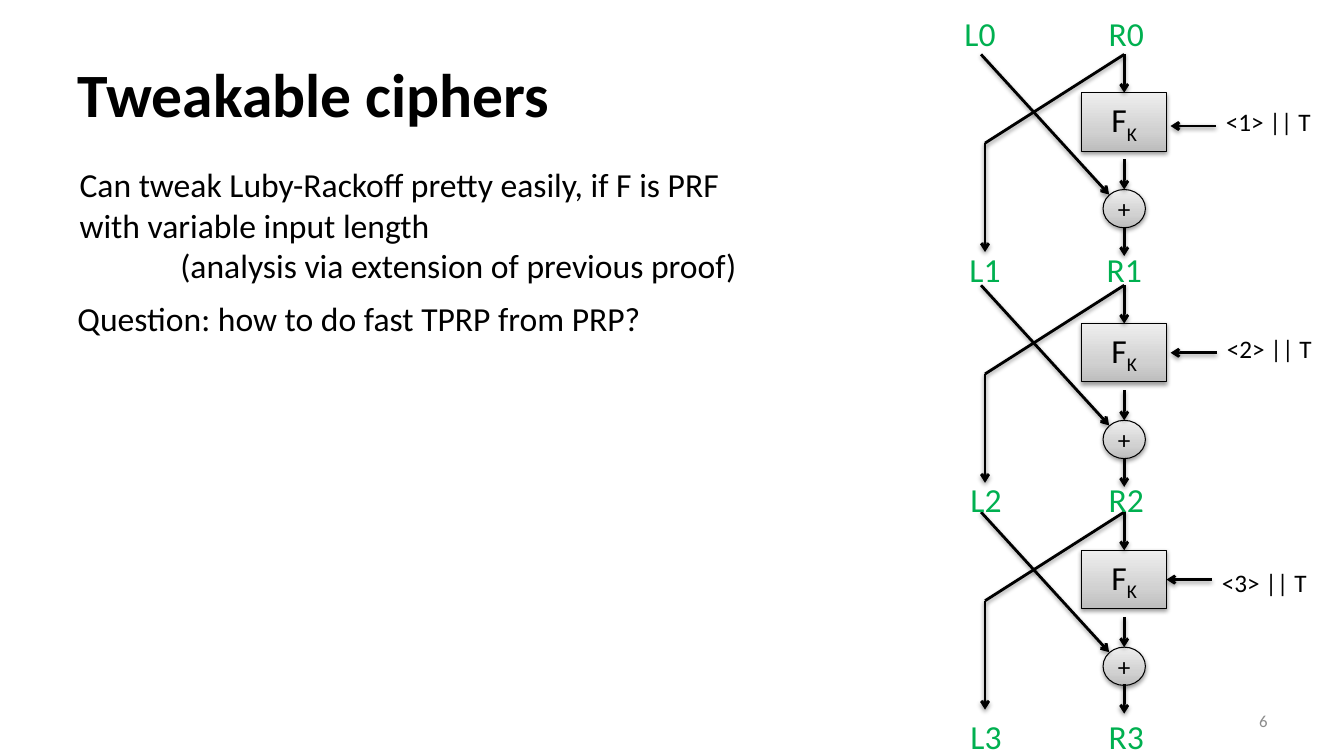
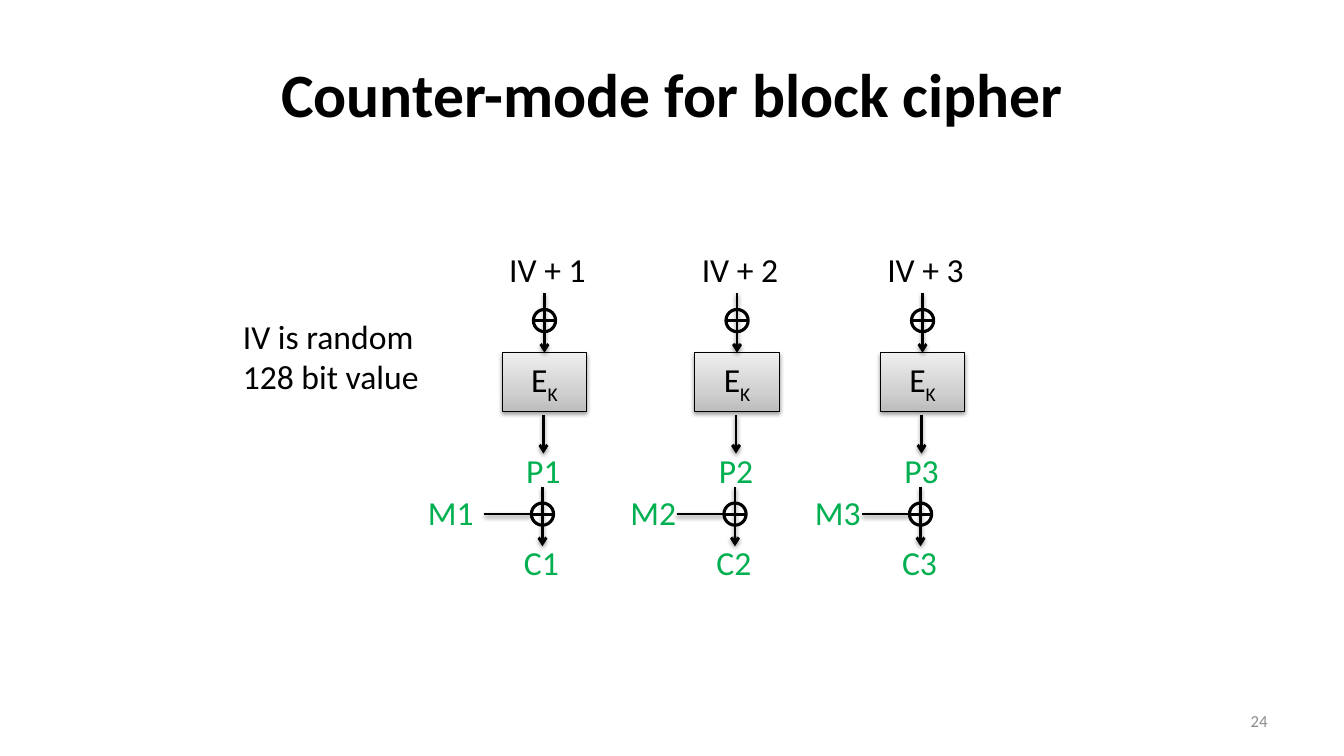
from dataclasses import dataclass
from typing import Any, Optional

import lxml.etree
import pptx
import pptx.dml.color
import pptx.enum.shapes
import pptx.enum.text
import pptx.oxml.ns
import pptx.util

SCALE = 9144
FONT = "Calibri"
COLORS = {
    "ink": "000000",
    "green": "00B050",
    "gray": "8C8C8C",
    "dark": "BDBDBD",
    "mid": "D1D1D1",
    "light": "EEEEEE",
}
ALIGN = pptx.enum.text.PP_ALIGN
ANCHOR = pptx.enum.text.MSO_ANCHOR
SHAPE = pptx.enum.shapes.MSO_SHAPE
Point = tuple[int, int]


@dataclass(frozen=True)
class Round:
    num: int
    top: int
    tweak: Point
    label: int


@dataclass(frozen=True)
class Label:
    left: int
    right: int
    top: int


@dataclass(frozen=True)
class Column:
    num: int
    mid: int
    text: int


ROUNDS = [
    Round(1, 54, (1206, 125), 101),
    Round(2, 283, (1207, 350), 326),
    Round(3, 508, (1202, 575), 558),
]
LABELS = [
    Label(972, 1117, 8),
    Label(977, 1115, 242),
    Label(978, 1117, 470),
    Label(978, 1117, 705),
]
COLUMNS = [Column(1, 540, 447), Column(2, 731, 648), Column(3, 915, 831)]


def px(size: int) -> pptx.util.Emu:
    return pptx.util.Emu(size * SCALE)


def rgb(name: str) -> Any:
    return pptx.dml.color.RGBColor.from_string(COLORS[name])


def node(root: Any, tag: str, **attrs: Any) -> Any:
    item = lxml.etree.SubElement(root, pptx.oxml.ns.qn("a:" + tag))
    for key, value in attrs.items():
        item.set(key, str(value))
    return item


def shade(root: Any, on: bool = True) -> None:
    effect = node(root, "effectLst")
    if on:
        cast = node(effect, "outerShdw", blurRad=40000, dist=20000,
                    dir=5400000, rotWithShape=0)
        node(node(cast, "srgbClr", val=COLORS["ink"]), "alpha", val=38000)


def write(frame: Any, *lines: str, size: int = 24, color: str = "ink",
          bold: bool = False, align: Any = ALIGN.LEFT, anchor: Any = ANCHOR.TOP,
          wrap: bool = False, sub: str = "", indent: int = 0) -> None:
    frame.word_wrap = wrap
    frame.vertical_anchor = anchor
    for rank, line in enumerate(lines):
        para = frame.add_paragraph() if rank else frame.paragraphs[0]
        para.alignment = align
        if rank and indent:
            props = para._p.get_or_add_pPr()
            props.set("marL", str(px(indent)))
            props.set("indent", "0")
        for part in filter(None, (line, sub)):
            run = para.add_run()
            run.text = part
            run.font.name = FONT
            run.font.size = pptx.util.Pt(size)
            run.font.bold = bold
            run.font.color.rgb = rgb(color)
        if sub:
            run._r.get_or_add_rPr().set("baseline", "-25000")


def note(slide: Any, left: int, top: int, width: int, high: int,
         *lines: str, **style: Any) -> None:
    box = slide.shapes.add_textbox(px(left), px(top), px(width), px(high))
    write(box.text_frame, *lines, **style)


def tag(slide: Any, mid: int, top: int, text: str, color: str = "green") -> None:
    note(slide, mid - 50, top, 100, 50, text, color=color, align=ALIGN.CENTER)


def block(slide: Any, kind: Any, left: int, top: int, width: int, high: int,
          text: str, **style: Any) -> Any:
    shape = slide.shapes.add_shape(kind, px(left), px(top), px(width), px(high))
    props = shape._element.spPr
    fill = node(props, "gradFill", rotWithShape=1)
    stops = node(fill, "gsLst")
    for place, name in ((0, "dark"), (35, "mid"), (100, "light")):
        stop = node(stops, "gs", pos=place * 1000)
        node(stop, "srgbClr", val=COLORS[name])
    node(fill, "lin", ang=16200000, scaled=0)
    shape.line.color.rgb = rgb("ink")
    shape.line.width = pptx.util.Pt(0.75)
    shade(props)
    write(shape.text_frame, text, align=ALIGN.CENTER, anchor=ANCHOR.MIDDLE, **style)
    return shape


def keyed(slide: Any, mid: int, top: int, text: str) -> Any:
    return block(slide, SHAPE.RECTANGLE, mid - 42, top, 84, 58, text, sub="K")


def link(slide: Any, start: Point, end: Point, head: bool = True,
         width: float = 2, glow: bool = True,
         goal: Optional[Any] = None, side: int = 0) -> None:
    line = slide.shapes.add_connector(
        pptx.enum.shapes.MSO_CONNECTOR.STRAIGHT, *map(px, start + end))
    line.line.color.rgb = rgb("ink")
    line.line.width = pptx.util.Pt(width)
    if head:
        node(line.line._get_or_add_ln(), "tailEnd", type="arrow")
    shade(line._element.spPr, glow)
    if goal is not None:
        line.end_connect(goal, side)


def ring(slide: Any, mid: int, top: int) -> None:
    oval = slide.shapes.add_shape(
        SHAPE.OVAL, px(mid - 11), px(top), px(22), px(22))
    oval.shadow.inherit = False
    oval.fill.background()
    oval.line.color.rgb = rgb("ink")
    oval.line.width = pptx.util.Pt(2.25)
    link(slide, (mid - 11, top + 11), (mid + 11, top + 11),
         head=False, width=2.25, glow=False)


def start(deck: Any, title: str, page: int, align: Any) -> Any:
    slide = deck.slides.add_slide(deck.slide_layouts[5])
    head = slide.shapes.title
    head.left, head.top, head.width, head.height = map(px, (67, 30, 1200, 125))
    write(head.text_frame, title, size=44, bold=True, align=align,
          anchor=ANCHOR.MIDDLE, wrap=True)
    note(slide, 956, 695, 311, 40, str(page), size=12, color="gray",
         align=ALIGN.RIGHT, anchor=ANCHOR.MIDDLE, wrap=True)
    return slide


def feistel(slide: Any, step: Round) -> None:
    top, left, right = step.top, 977, 1115
    box = keyed(slide, right, top + 38, "F")
    plus = block(slide, SHAPE.OVAL, right - 21, top + 134, 42, 38, "+", size=18)
    link(slide, (right, top), (right, top + 38), goal=box)
    link(slide, (973, top), (1100, top + 139))
    link(slide, (right, top), (left, top + 88), head=False)
    link(slide, (left, top + 88), (left, top + 196))
    link(slide, (right, top + 104), (right, top + 134), goal=plus)
    link(slide, (right, top + 171), (right, top + 200))
    x, y = step.tweak
    if y == top + 67 and step.num == len(ROUNDS):
        link(slide, step.tweak, (x - 46, y), goal=box, side=3)
    else:
        link(slide, step.tweak, (1161, y))
    note(slide, x, step.label, 105, 40, f"<{step.num}> || T", size=18)


def counter(slide: Any, col: Column) -> None:
    mid, out = col.mid, col.mid - 2
    box = keyed(slide, mid, 350, "E")
    tag(slide, mid + 3, 242, f"IV + {col.num}", "ink")
    link(slide, (mid, 291), (mid, 350), goal=box)
    ring(slide, mid, 307)
    link(slide, (mid - 1, 412), (mid - 1, 450))
    tag(slide, mid - 1, 441, f"P{col.num}")
    tag(slide, col.text, 483, f"M{col.num}")
    link(slide, (out, 483), (out, 542))
    ring(slide, out, 499)
    link(slide, (out - 58, 510), (out - 11, 510), head=False)
    tag(slide, out - 1, 533, f"C{col.num}")


def main() -> None:
    deck = pptx.Presentation()
    deck.slide_width, deck.slide_height = px(1333), px(750)

    tweak = start(deck, "Tweakable ciphers", 6, ALIGN.LEFT)
    note(tweak, 69, 158, 715, 131,
         "Can tweak Luby-Rackoff pretty easily, if F is PRF with variable input length",
         "(analysis via extension of previous proof)", wrap=True, indent=100)
    note(tweak, 67, 291, 715, 50, "Question: how to do fast TPRP from PRP?", wrap=True)
    for step in ROUNDS:
        feistel(tweak, step)
    for num, label in enumerate(LABELS):
        tag(tweak, label.left, label.top, f"L{num}")
        tag(tweak, label.right, label.top, f"R{num}")

    count = start(deck, "Counter-mode for block cipher", 24, ALIGN.CENTER)
    note(count, 231, 308, 211, 91, "IV is random 128 bit value", wrap=True)
    for col in COLUMNS:
        counter(count, col)

    deck.save("out.pptx")


if __name__ == "__main__":
    main()
